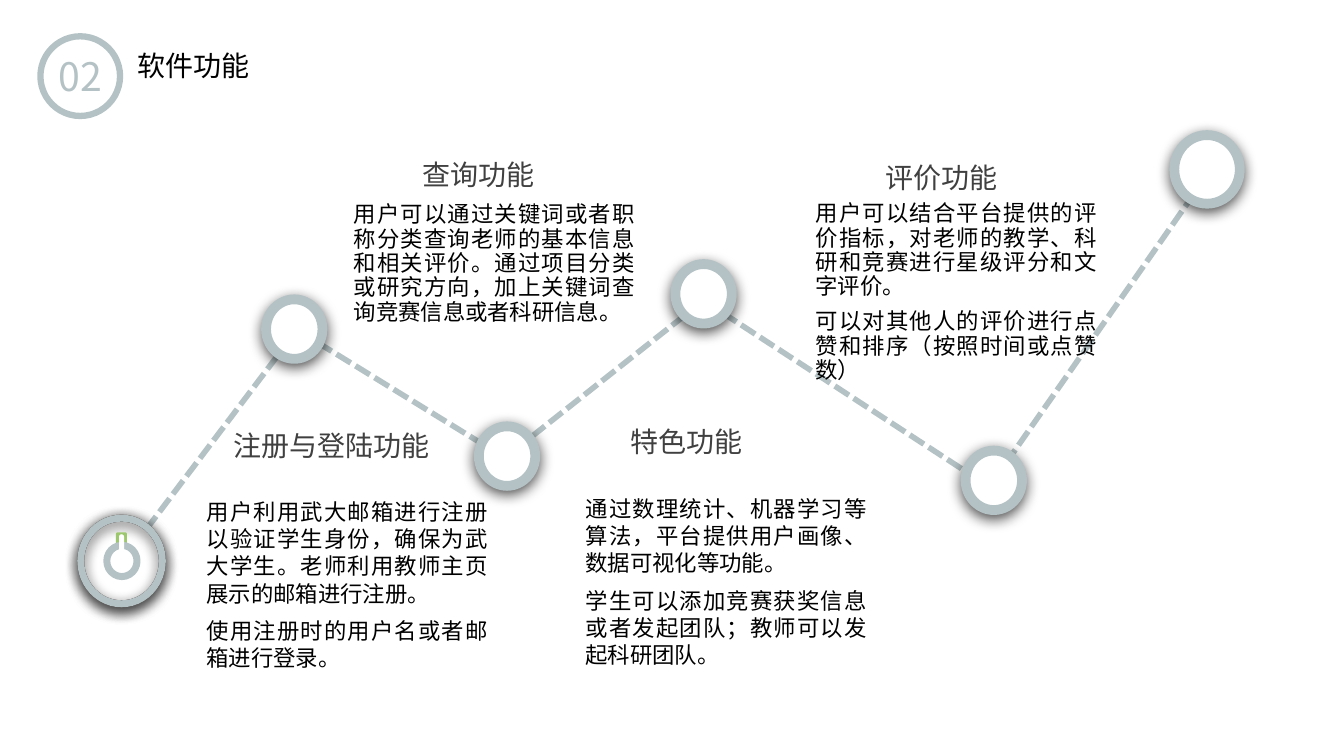
from lxml import etree
from pptx import Presentation
from pptx.dml.color import RGBColor
from pptx.enum.dml import MSO_LINE
from pptx.enum.shapes import MSO_CONNECTOR, MSO_SHAPE
from pptx.enum.text import MSO_ANCHOR, PP_ALIGN
from pptx.oxml.ns import qn
from pptx.util import Pt

FONT = "Noto Sans CJK SC"
GREY = "B4C2C5"
WHITE = "FFFFFF"
BLACK = "000000"
HEADING = "404040"

# Start and end of each dashed segment, left to right
SEGMENTS = [
    (85, 403.9, 210.2, 238.3),
    (213.1, 236.2, 359.3, 326.2),
    (367.2, 321.8, 502.6, 214.6),
    (502.6, 214.6, 703.4, 345.6),
    (709.2, 344.2, 862.6, 124.6),
]
# Centre and size of each stop on the path
STOPS = [
    (210.2, 235.1, 40.3, 42.5),
    (362.2, 325.8, 40.3, 42.5),
    (502.6, 209.9, 40.3, 42.5),
    (709.9, 343.1, 40.3, 42.5),
    (862.2, 121, 46.8, 49),
]
# Heading, heading left and middle, body left and top, line pitch, paragraphs
FEATURES = [
    ("注册与登陆功能", 166.6, 318.2, 147.6, 356, 19.3, [
        "用户利用武大邮箱进行注册以验证学生身份，确保为武大学生。老师利用教师主页展示的邮箱进行注册。",
        "使用注册时的用户名或者邮箱进行登录。"]),
    ("特色功能", 450.4, 315.3, 418.3, 353.8, 19.3, [
        "通过数理统计、机器学习等算法，平台提供用户画像、数据可视化等功能。",
        "学生可以添加竞赛获奖信息或者发起团队；教师可以发起科研团队。"]),
    ("查询功能", 301.6, 124.6, 252.7, 145, 17.4, [
        "用户可以通过关键词或者职称分类查询老师的基本信息和相关评价。"
        "通过项目分类或研究方向，加上关键词查询竞赛信息或者科研信息。"]),
    ("评价功能", 632.5, 126.8, 582.5, 144.3, 17.4, [
        "用户可以结合平台提供的评价指标，对老师的教学、科研和竞赛进行星级评分和文字评价。",
        "可以对其他人的评价进行点赞和排序（按照时间或点赞数）"]),
]


def color(value):
    return RGBColor.from_string(value)


def add_effects(shape, shadow=False):
    """Replace inherited effects, optionally with a soft shadow below."""
    properties = shape._element.spPr
    for old in properties.findall(qn("a:effectLst")):
        properties.remove(old)
    effects = etree.SubElement(properties, qn("a:effectLst"))
    if shadow:
        outer = etree.SubElement(effects, qn("a:outerShdw"), blurRad=str(Pt(10)),
                                 dist=str(Pt(3)), dir="5400000", algn="t",
                                 rotWithShape="0")
        shade = etree.SubElement(outer, qn("a:srgbClr"), val=BLACK)
        etree.SubElement(shade, qn("a:alpha"), val="67000")


def add_figure(slide, kind, box, fill=None, line=None, line_width=0, shadow=False):
    shape = slide.shapes.add_shape(kind, *map(Pt, box))
    if fill:
        shape.fill.solid()
        shape.fill.fore_color.rgb = color(fill)
    else:
        shape.fill.background()
    if line:
        shape.line.color.rgb = color(line)
        shape.line.width = Pt(line_width)
    else:
        shape.line.fill.background()
    add_effects(shape, shadow)
    return shape


def add_ring(slide, center_x, center_y, width, height, **style):
    box = (center_x - width / 2, center_y - height / 2, width, height)
    return add_figure(slide, MSO_SHAPE.OVAL, box, **style)


def add_segment(slide, ends):
    segment = slide.shapes.add_connector(MSO_CONNECTOR.STRAIGHT, *map(Pt, ends))
    segment.line.color.rgb = color(GREY)
    segment.line.width = Pt(4)
    segment.line.dash_style = MSO_LINE.SQUARE_DOT
    add_effects(segment)


def add_text(slide, box, texts, size, text_color, align=PP_ALIGN.LEFT,
             anchor=MSO_ANCHOR.MIDDLE, pitch=None):
    frame = slide.shapes.add_textbox(*map(Pt, box)).text_frame
    frame.word_wrap = True
    frame.vertical_anchor = anchor
    frame.margin_left = frame.margin_right = 0
    frame.margin_top = frame.margin_bottom = 0
    for index, text in enumerate(texts):
        paragraph = frame.add_paragraph() if index else frame.paragraphs[0]
        paragraph.alignment = align
        if pitch:
            paragraph.line_spacing = Pt(pitch)
        if index:
            paragraph.space_before = Pt(7.5)
        run = paragraph.add_run()
        run.text = text
        run.font.size = Pt(size)
        run.font.color.rgb = color(text_color)
        run.font.name = FONT
        etree.SubElement(run.font._element, qn("a:ea"), typeface=FONT)


def add_heading(slide, left, middle, text, text_color):
    add_text(slide, (left, middle - 16, 170, 32), [text], 20, text_color)


def add_title(slide):
    add_ring(slide, 57.3, 54.4, 56.9, 56.9, line=GREY, line_width=4.5)
    add_text(slide, (33.8, 33.8, 47.5, 41), ["02"], 28, GREY, PP_ALIGN.CENTER)
    add_heading(slide, 98, 46.8, "软件功能", BLACK)


def add_power_button(slide):
    center = (86.8, 400.7)
    add_ring(slide, *center, 58.3, 61.2, fill=WHITE, line="432E24",
             line_width=5, shadow=True)
    add_ring(slide, *center, 58.3, 61.2, line=GREY, line_width=5, shadow=True)
    add_ring(slide, *center, 28.8, 29.5, fill=WHITE)
    add_figure(slide, MSO_SHAPE.ROUNDED_RECTANGLE, (82.8, 380.2, 7.9, 20.2),
               fill="9CC76D")
    add_ring(slide, 87.1, 400.7, 21.6, 22.3, fill=WHITE, line=GREY, line_width=5)
    slot = add_figure(slide, MSO_SHAPE.ROUNDED_RECTANGLE, (85, 381.6, 3.6, 20.9),
                      fill=WHITE)
    slot.adjustments[0] = 0.5


def main():
    presentation = Presentation()
    presentation.slide_width = Pt(960)
    presentation.slide_height = Pt(540)
    slide = presentation.slides.add_slide(presentation.slide_layouts[6])
    add_title(slide)
    for ends in SEGMENTS:
        add_segment(slide, ends)
    for stop in STOPS:
        add_ring(slide, *stop, fill=WHITE, line=GREY, line_width=7, shadow=True)
    add_power_button(slide)
    for heading, heading_left, middle, left, top, pitch, texts in FEATURES:
        add_heading(slide, heading_left, middle, heading, HEADING)
        add_text(slide, (left, top, 200.9, 92.2), texts, 16, BLACK,
                 PP_ALIGN.JUSTIFY, MSO_ANCHOR.TOP, pitch)
    presentation.save("out.pptx")


if __name__ == "__main__":
    main()
